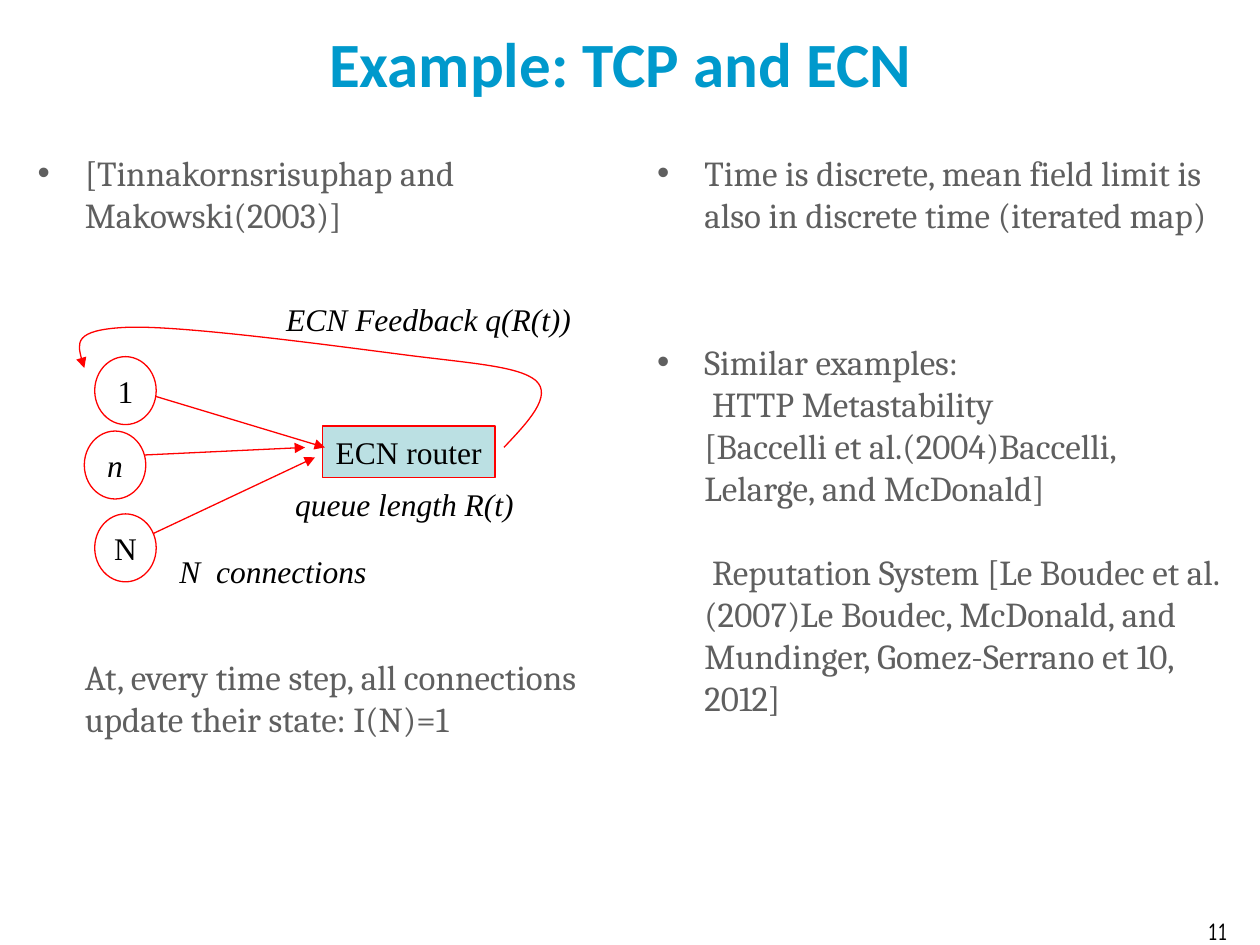
from lxml import etree
from pptx import Presentation
from pptx.dml.color import RGBColor
from pptx.enum.shapes import MSO_CONNECTOR, MSO_SHAPE
from pptx.enum.text import MSO_ANCHOR, PP_ALIGN
from pptx.oxml.ns import qn
from pptx.util import Cm, Pt

STRAIGHT = MSO_CONNECTOR.STRAIGHT
RECTANGLE, OVAL = MSO_SHAPE.RECTANGLE, MSO_SHAPE.OVAL
TOP, MIDDLE = MSO_ANCHOR.TOP, MSO_ANCHOR.MIDDLE
LEFT, CENTER = PP_ALIGN.LEFT, PP_ALIGN.CENTER

BLACK = RGBColor(0x00, 0x00, 0x00)
WHITE = RGBColor(0xFF, 0xFF, 0xFF)
RED = RGBColor(0xFF, 0x00, 0x00)
GRAY = RGBColor(0x5F, 0x5F, 0x5F)
TITLE_BLUE = RGBColor(0x00, 0x99, 0xCC)
ROUTER_BLUE = RGBColor(0xBB, 0xE0, 0xE3)

DIAGRAM_FONT = "Times New Roman"
HANGING = Cm(0.95)

LEFT_BODY = [
    ("[Tinnakornsrisuphap and Makowski(2003)]", True, 0),
    ("At, every time step, all connections update their state: I(N)=1", False, 240),
]
RIGHT_BODY = [
    ("Time is discrete, mean field limit is also in discrete time (iterated map)", True, 0),
    ("Similar examples:\v HTTP Metastability\v"
     "[Baccelli et al.(2004)Baccelli, Lelarge, and McDonald]", True, 60),
    (" Reputation System [Le Boudec et al.(2007)Le Boudec, McDonald, and "
     "Mundinger, Gomez-Serrano et 10, 2012]", False, 24),
]
CONNECTIONS = [
    ("1", False, (0.44, 1.27), (0.87, 1.83), (5.08, 3.1)),
    ("n", True, (0.23, 2.77), (0.44, 3.3), (4.68, 3.1)),
    ("N", False, (0.44, 4.44), (1.27, 5.0), (4.88, 3.3)),
]
LABELS = [
    ("queue length R(t)", (4.22, 3.73, 4.93, 1.02)),
    ("ECN Feedback q(R(t))", (4.04, 0, 6.27, 1.02)),
    ("N  connections", (1.71, 5.08, 4.65, 1.02)),
]
FEEDBACK_CURVE = [
    (8.69, 3.1),
    (9.17, 2.59), (9.68, 2.06), (9.33, 1.75),
    (8.97, 1.45), (7.95, 1.4), (6.58, 1.22),
    (5.18, 1.04), (2.14, 0.63), (1.07, 0.68),
    (0, 0.73), (0.1, 1.12), (0.23, 1.5),
]


def style_para(para, size, font, color, bold=False, italic=False, align=CENTER):
    """Format a paragraph and all its runs."""
    para.alignment = align
    for span in para.runs:
        span.font.size = Pt(size)
        span.font.name = font
        span.font.color.rgb = color
        span.font.bold = bold
        span.font.italic = italic


def add_text(page, box, text, size, font, color, anchor=TOP, wrap=True, **style):
    """Add a text box holding one paragraph."""
    frame = page.shapes.add_textbox(*map(Cm, box)).text_frame
    frame.word_wrap = wrap
    frame.vertical_anchor = anchor
    frame.text = text
    style_para(frame.paragraphs[0], size, font, color, **style)


def set_bullet(para, bulleted):
    """Give a paragraph its hanging indent and bullet."""
    props = para._p.get_or_add_pPr()
    props.set("marL", str(HANGING))
    props.set("indent", str(-HANGING if bulleted else 0))
    if bulleted:
        etree.SubElement(props, qn("a:buFont"), typeface="Arial")
        etree.SubElement(props, qn("a:buChar"), char="•")
    else:
        etree.SubElement(props, qn("a:buNone"))


def add_body(page, box, items):
    """Fill one column with bulleted and plain paragraphs."""
    frame = page.shapes.add_textbox(*map(Cm, box)).text_frame
    frame.word_wrap = True
    for index, (text, bulleted, space) in enumerate(items):
        para = frame.add_paragraph() if index else frame.paragraphs[0]
        para.text = text
        para.space_before = Pt(space)
        style_para(para, 20, "Cambria", GRAY, align=LEFT)
        set_bullet(para, bulleted)


def add_node(page, kind, box, text, fill, italic=False):
    """Add an outlined shape with a centred label."""
    node = page.shapes.add_shape(kind, *map(Cm, box))
    node.shadow.inherit = False
    node.fill.solid()
    node.fill.fore_color.rgb = fill
    node.line.color.rgb = RED
    node.line.width = Pt(0.75)
    frame = node.text_frame
    frame.word_wrap = False
    frame.vertical_anchor = MIDDLE
    frame.margin_left = frame.margin_right = 0
    frame.text = text
    style_para(frame.paragraphs[0], 18, DIAGRAM_FONT, BLACK, italic=italic)


def style_arrow(arrow):
    """Draw a thin red line with a triangle at its end."""
    arrow.line.color.rgb = RED
    arrow.line.width = Pt(0.75)
    etree.SubElement(arrow.line._get_or_add_ln(), qn("a:tailEnd"), type="triangle")


def add_arrow(page, start, end):
    """Add a straight arrow between two points."""
    arrow = page.shapes.add_connector(STRAIGHT, *map(Cm, start + end))
    style_arrow(arrow)
    etree.SubElement(arrow._element.spPr, qn("a:effectLst"))


def add_curve(page, points):
    """Add a curved arrow from a start point and triples of Bézier points."""
    start, *rest = [(Cm(x), Cm(y)) for x, y in points]
    builder = page.shapes.build_freeform(*start)
    builder.add_line_segments(rest, close=False)
    curve = builder.convert_to_shape()
    outline = curve._element.spPr.find(".//" + qn("a:path"))
    segments = outline.findall(qn("a:lnTo"))
    for first in range(0, len(segments), 3):
        bend = etree.SubElement(outline, qn("a:cubicBezTo"))
        for segment in segments[first:first + 3]:
            bend.append(segment[0])
            outline.remove(segment)
    curve.fill.background()
    style_arrow(curve)
    curve.shadow.inherit = False


def add_diagram(page, box):
    """Draw the connections, the router and the feedback loop."""
    left, top = box

    def shift(x, y, *size):
        return (left + x, top + y, *size)

    add_node(page, RECTANGLE, shift(5.03, 2.67, 3.48, 1.04), "ECN router", ROUTER_BLUE)
    for _, _, _, start, end in CONNECTIONS:
        add_arrow(page, shift(*start), shift(*end))
    add_curve(page, [shift(*point) for point in FEEDBACK_CURVE])
    for text, place in LABELS:
        add_text(page, shift(*place), text, 18, DIAGRAM_FONT, BLACK,
                 wrap=False, italic=True)
    for text, italic, corner, _, _ in CONNECTIONS:
        add_node(page, OVAL, shift(*corner, 1.24, 1.37), text, WHITE, italic)


def main():
    """Build the slide and save the deck."""
    deck = Presentation()
    deck.slide_width, deck.slide_height = Cm(25.4), Cm(19.05)
    page = deck.slides.add_slide(deck.slide_layouts[6])
    add_text(page, (0.3, 0, 24.41, 2.51), "Example: TCP and ECN", 36, "Calibri",
             TITLE_BLUE, anchor=MIDDLE, bold=True)
    add_body(page, (0.51, 2.92, 12.09, 15.8), LEFT_BODY)
    add_body(page, (13.0, 2.92, 12.09, 15.8), RIGHT_BODY)
    add_text(page, (23.7, 18.34, 1.7, 0.71), "11", 14, "Comic Neue", BLACK)
    add_diagram(page, (1.47, 5.92))
    deck.save("out.pptx")


if __name__ == "__main__":
    main()
